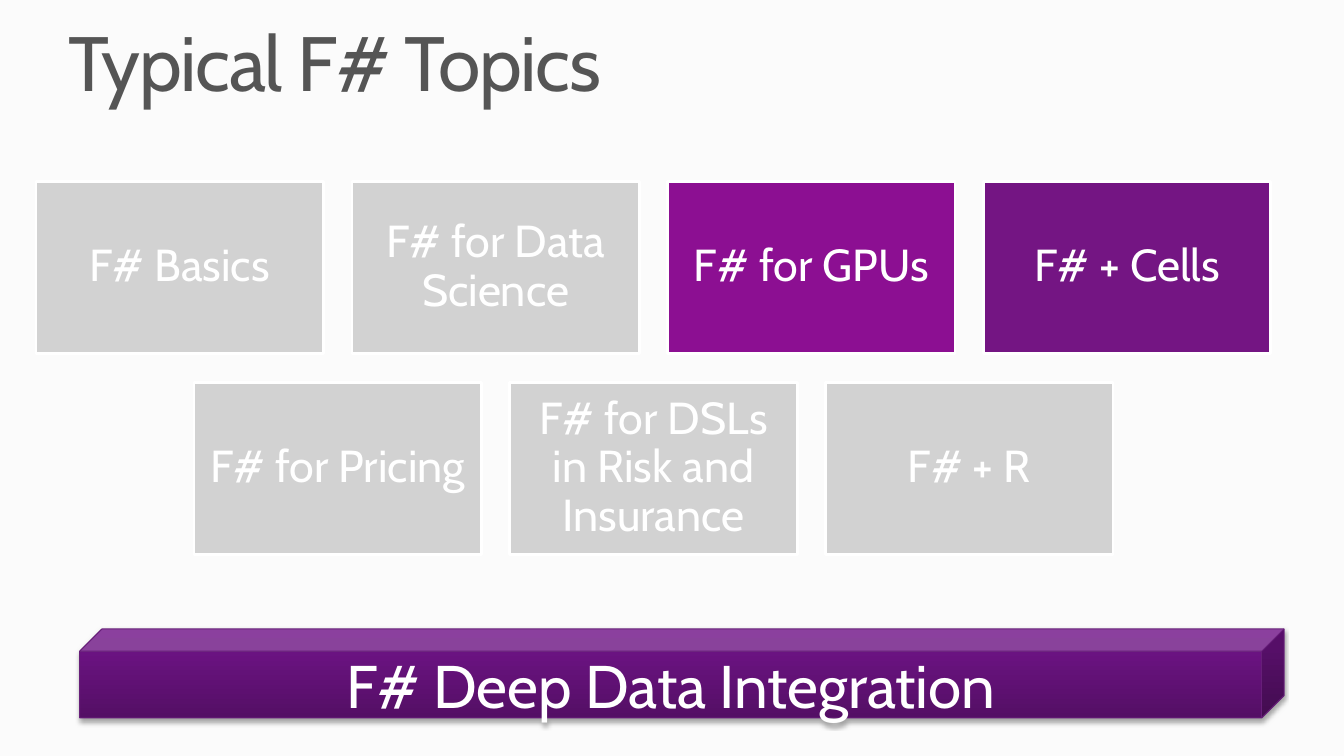
from copy import deepcopy

from lxml.etree import SubElement
from pptx import Presentation
from pptx.dml.color import RGBColor
from pptx.enum.shapes import MSO_SHAPE
from pptx.enum.text import MSO_ANCHOR, PP_ALIGN
from pptx.oxml.ns import qn
from pptx.util import Cm, Pt

# Content
TITLE = "Typical F# Topics"
TOPIC_ROWS = [
    [("F# Basics", "grey"), ("F# for Data Science", "grey"),
     ("F# for GPUs", "magenta"), ("F# + Cells", "purple")],
    [("F# for Pricing", "grey"), ("F# for DSLs in Risk and Insurance", "grey"),
     ("F# + R", "grey")],
]
FOUNDATION = "F# Deep Data Integration"

# Style
FONT = "Cabin"
COLORS = {
    "background": "FBFBFB", "title": "555555", "white": "FFFFFF",
    "grey": "D2D2D2", "magenta": "8C0F92", "purple": "741583",
    "bar_line": "671E79", "shadow": "000000",
}
BAR_STOPS = [(0, "540F65"), (0.8, "6C1383"), (1, "6E1186")]

# Layout in cm
CARD_LEFT, CARD_TOP = 0.91, 4.57
CARD_WIDTH, CARD_HEIGHT, CARD_GAP = 7.24, 4.34, 0.72


def color(name):
    return RGBColor.from_string(COLORS[name])


def write(shape, text, size, text_color, align, margins, spacing):
    frame = shape.text_frame
    frame.word_wrap = True
    frame.margin_left = frame.margin_right = Cm(margins[0])
    frame.margin_top = frame.margin_bottom = Cm(margins[1])
    frame.text = text
    paragraph = frame.paragraphs[0]
    paragraph.alignment = align
    paragraph.line_spacing = spacing
    paragraph.font.name = FONT
    paragraph.font.size = Pt(size)
    paragraph.font.color.rgb = color(text_color)
    return frame


def add_block(slide, preset, box, line_color, line_width):
    block = slide.shapes.add_shape(preset, *(Cm(value) for value in box))
    block.shadow.inherit = False
    block.line.color.rgb = color(line_color)
    block.line.width = Pt(line_width)
    return block


prs = Presentation()
prs.slide_width, prs.slide_height = Cm(33.87), Cm(19.05)
slide = prs.slides.add_slide(prs.slide_layouts[5])
slide.background.fill.solid()
slide.background.fill.fore_color.rgb = color("background")

# Title
title = slide.shapes.title
title.left, title.top, title.width, title.height = Cm(1.73), Cm(0.64), Cm(30.38), Cm(2.11)
title_frame = write(title, TITLE, 55, "title", PP_ALIGN.LEFT, (0, 0), 0.9)
title_frame.vertical_anchor = MSO_ANCHOR.TOP
title_frame.paragraphs[0].runs[0].font._element.set("spc", "-100")

# Topic cards, each row centred under the longest one
longest = max(len(row) for row in TOPIC_ROWS)
for row_index, row in enumerate(TOPIC_ROWS):
    indent = (longest - len(row)) * (CARD_WIDTH + CARD_GAP) / 2
    top = CARD_TOP + row_index * (CARD_HEIGHT + CARD_GAP)
    for column, (topic, fill) in enumerate(row):
        left = CARD_LEFT + indent + column * (CARD_WIDTH + CARD_GAP)
        card = add_block(slide, MSO_SHAPE.RECTANGLE,
                         (left, top, CARD_WIDTH, CARD_HEIGHT), "white", 2)
        card.fill.solid()
        card.fill.fore_color.rgb = color(fill)
        write(card, topic, 32, "white", PP_ALIGN.CENTER, (0.33, 0.33),
              0.9).vertical_anchor = MSO_ANCHOR.MIDDLE

# Foundation bar
bar = add_block(slide, MSO_SHAPE.CUBE, (2.01, 15.85, 30.35, 2.24), "bar_line", 0.75)
write(bar, FOUNDATION, 43, "white", PP_ALIGN.CENTER, (0.33, 0.18),
      1.0).vertical_anchor = MSO_ANCHOR.MIDDLE

# Bar gradient, running from bottom to top
bar.fill.gradient()
bar.fill.gradient_angle = 90
properties = bar._element.spPr
stop_list = properties.find(".//" + qn("a:gsLst"))
stop_list.append(deepcopy(stop_list[-1]))
for stop, (position, shade) in zip(bar.fill.gradient_stops, BAR_STOPS):
    stop.position = position
    stop.color.rgb = RGBColor.from_string(shade)

# Bar shadow
shadow = SubElement(properties.find(qn("a:effectLst")), qn("a:outerShdw"),
                    blurRad=str(Pt(3.1)), dist=str(Pt(1.8)), dir="5400000",
                    rotWithShape="0")
shadow_color = SubElement(shadow, qn("a:srgbClr"), val=COLORS["shadow"])
SubElement(shadow_color, qn("a:alpha"), val="35000")

prs.save("out.pptx")
